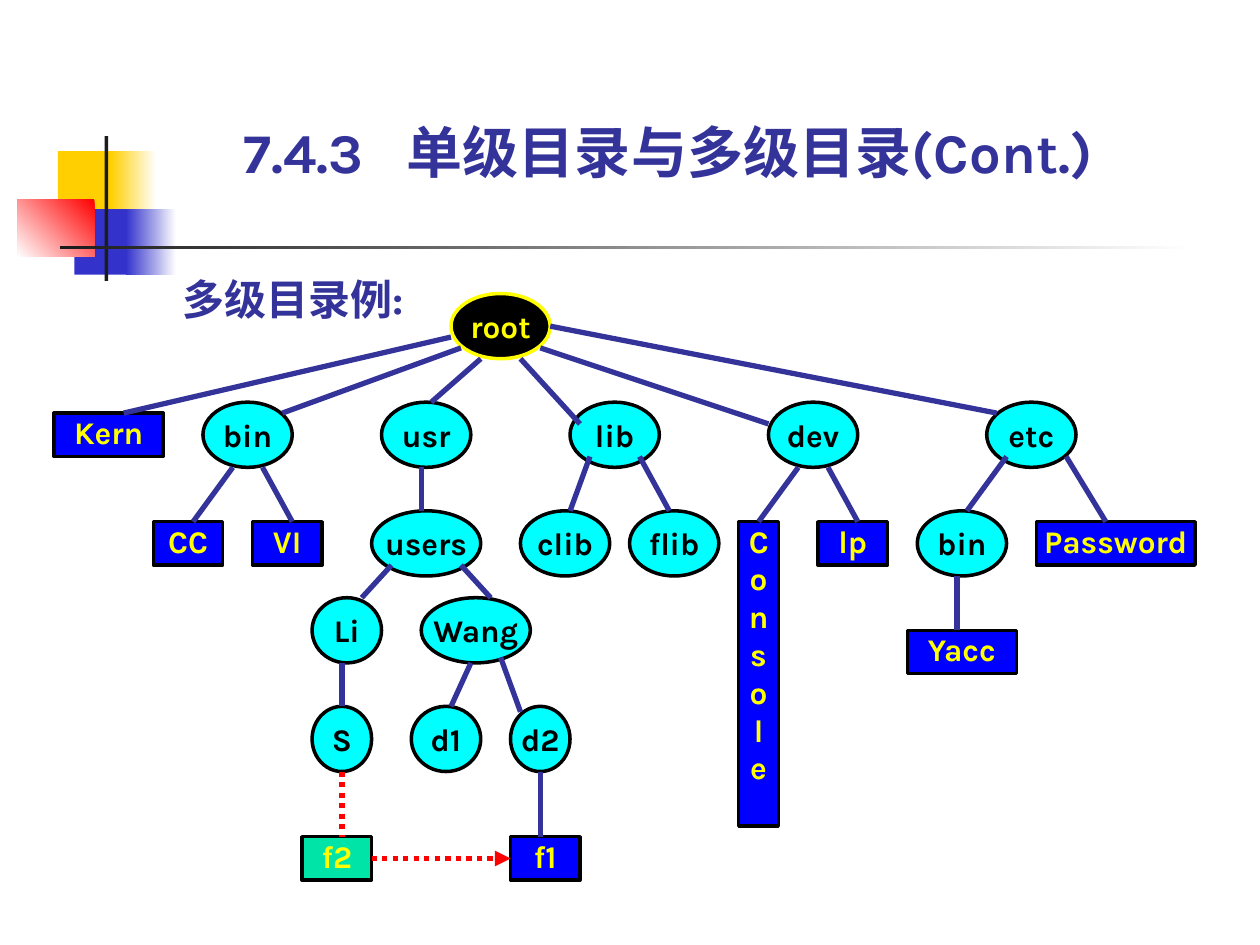
from typing import NamedTuple, Optional

from lxml import etree
from pptx import Presentation
from pptx import util as u
from pptx.dml.color import RGBColor
from pptx.enum import dml, shapes, text
from pptx.oxml import ns

FONT = "Karla"
INDIGO, RED, YELLOW, BLACK = "333399", "FF0000", "FFFF00", "000000"
CYAN, BLUE, GREEN = "00FFFF", "0000FF", "00E4A8"
GOLD, ROYAL, WHITE, CHARCOAL = "FFCF01", "3333CC", "FFFFFF", "1C1C1C"
WIDTH, HEIGHT = u.Inches(10), u.Inches(7.5)
LEFT, TOP = u.Inches(0.43), u.Inches(2.33)
COLUMN, ROW = u.Mm(2), u.Mm(2.19)
OVAL, BOX = shapes.MSO_SHAPE.OVAL, shapes.MSO_SHAPE.RECTANGLE
BOTTOM, MIDDLE, UPPER = text.MSO_ANCHOR.BOTTOM, text.MSO_ANCHOR.MIDDLE, text.MSO_ANCHOR.TOP


class Area(NamedTuple):
    left: int
    top: int
    width: int
    height: int


class Folder(NamedTuple):
    name: str
    column: float
    row: float
    columns: float = 9
    fill: str = CYAN
    line: str = BLACK
    color: str = BLACK


class File(NamedTuple):
    name: str
    column: float
    row: float
    columns: float = 7
    rows: float = 4
    fill: str = BLUE
    side: float = 0


class Link(NamedTuple):
    column: float
    row: float
    end_column: float
    end_row: float
    color: str = INDIGO
    dotted: bool = False
    arrow: bool = False
    begin: Optional[tuple] = None
    end: Optional[tuple] = None


class Block(NamedTuple):
    left: float
    top: float
    width: float
    height: float
    colors: tuple
    angle: int = 180


BLOCKS = [
    Block(4.6, 16, 4.8, 6.93, (GOLD,)),
    Block(8.8, 16, 3.6, 6.93, (WHITE, GOLD)),
    Block(5.9, 22.13, 4.6, 6.93, (ROYAL,)),
    Block(10, 22.13, 4, 6.93, (WHITE, ROYAL)),
    Block(1.4, 21.07, 6.1, 6.13, (RED, WHITE), 225),
    Block(8.3, 14.4, 0.3, 15.33, (CHARCOAL,)),
    Block(4.8, 26, 90, 0.4, (WHITE, CHARCOAL)),
]
FOLDERS = [
    Folder("root", 40, 0, 10, BLACK, YELLOW, YELLOW),
    *(Folder(name, column, 10) for name, column in
      [("bin", 15), ("usr", 33), ("lib", 52), ("dev", 72), ("etc", 94)]),
    Folder("users", 32, 20, 11), Folder("clib", 47, 20), Folder("flib", 58, 20),
    Folder("bin", 87, 20),
    Folder("Li", 26, 28, 7), Folder("Wang", 37, 28, 11),
    Folder("S", 26, 38, 6), Folder("d1", 36, 38, 7), Folder("d2", 46, 38, 6),
]
FILES = [
    File("Kern", 0, 11, 11), File("CC", 10, 21), File("VI", 20, 21),
    File("Console", 69, 21, 4, 28, side=0.08), File("lp", 77, 21),
    File("Password", 99, 21, 16), File("Yacc", 86, 31, 11),
    File("f2", 25, 50, fill=GREEN), File("f1", 46, 50),
]
LINKS = [
    Link(40, 4, 7, 11), Link(41, 5, 23, 11), Link(43, 6, 38, 10),
    Link(47, 6, 53, 12), Link(49, 5, 72, 12), Link(50, 3, 95, 11),
    Link(18, 16, 14, 21), Link(21, 16, 24, 21), Link(37, 16, 37, 20),
    Link(54, 15, 52, 20), Link(59, 15, 62, 20),
    Link(75, 16, 71, 21, end=("Console", 0)), Link(78, 16, 81, 21),
    Link(96, 15, 92, 20), Link(102, 15, 106, 21), Link(91, 26, 91, 31),
    Link(34, 25, 31, 28), Link(41, 25, 44, 28), Link(29, 34, 29, 38),
    Link(42, 34, 40, 38), Link(45, 33.5, 47, 38.5), Link(49, 44, 49, 50),
    Link(29, 44, 29, 50, RED, True),
    Link(32, 52, 46, 52, RED, True, True, ("f2", 3), ("f1", 1)),
]


def rgb(value: str) -> RGBColor:
    return RGBColor.from_string(value)


def point(column: float, row: float) -> tuple:
    return LEFT + round(column * COLUMN), TOP + round(row * ROW)


def cells(column: float, row: float, columns: float, rows: float) -> Area:
    return Area(*point(column, row), round(columns * COLUMN), round(rows * ROW))


def percent(left: float, top: float, width: float, height: float) -> Area:
    return Area(*(round(share * size / 100) for share, size in
                  zip((left, top, width, height), (WIDTH, HEIGHT) * 2)))


def write(box, words: str, *, size: int = 18, color: str = INDIGO, centered: bool = False,
          anchor=UPPER, side: float = 0, edge: float = 0, wrap: bool = True,
          grow: bool = False, spacing: Optional[float] = None,
          tab: Optional[float] = None) -> None:
    frame = box.text_frame
    frame.word_wrap = wrap
    frame.auto_size = (text.MSO_AUTO_SIZE.SHAPE_TO_FIT_TEXT if grow
                       else text.MSO_AUTO_SIZE.NONE)
    frame.vertical_anchor = anchor
    frame.margin_left = frame.margin_right = u.Inches(side)
    frame.margin_top = frame.margin_bottom = u.Inches(edge)
    para = frame.paragraphs[0]
    para.alignment = text.PP_ALIGN.CENTER if centered else text.PP_ALIGN.LEFT
    if tab:
        stops = etree.SubElement(para._p.get_or_add_pPr(), ns.qn("a:tabLst"))
        etree.SubElement(stops, ns.qn("a:tab"), pos=str(u.Inches(tab)), algn="l")
    if spacing:
        para.line_spacing = spacing
    span = para.add_run()
    span.text = words
    span.font.size = u.Pt(size)
    span.font.bold = True
    span.font.color.rgb = rgb(color)
    span.font.name = FONT
    etree.SubElement(span._r.get_or_add_rPr(), ns.qn("a:ea"), typeface=FONT)


def draw_shape(page, kind, area: Area, colors: tuple, line: Optional[str] = None,
               angle: int = 180):
    shape = page.shapes.add_shape(kind, *area)
    shape.shadow.inherit = False
    if len(colors) == 1:
        shape.fill.solid()
        shape.fill.fore_color.rgb = rgb(colors[0])
    else:
        shape.fill.gradient()
        shape.fill.gradient_angle = angle
        for stop, color, position in zip(shape.fill.gradient_stops, colors, (0, 1)):
            stop.color.rgb = rgb(color)
            stop.position = position
    if line:
        shape.line.color.rgb = rgb(line)
        shape.line.width = u.Pt(2)
    else:
        shape.line.fill.background()
    return shape


def draw_folder(page, folder: Folder) -> None:
    shape = draw_shape(page, OVAL, cells(folder.column, folder.row, folder.columns, 6),
                       (folder.fill,), folder.line)
    write(shape, folder.name, color=folder.color, centered=True, anchor=MIDDLE,
          side=0.1, edge=0.05, wrap=False)


def draw_file(page, file: File):
    shape = draw_shape(page, BOX, cells(file.column, file.row, file.columns, file.rows),
                       (file.fill,), BLACK)
    write(shape, file.name, color=YELLOW, centered=True, side=file.side)
    return shape


def draw_link(page, link: Link, files: dict) -> None:
    connector = page.shapes.add_connector(
        shapes.MSO_CONNECTOR.STRAIGHT, *point(link.column, link.row),
        *point(link.end_column, link.end_row))
    if link.begin:
        connector.begin_connect(files[link.begin[0]], link.begin[1])
    if link.end:
        connector.end_connect(files[link.end[0]], link.end[1])
    connector.line.color.rgb = rgb(link.color)
    connector.line.width = u.Pt(3)
    if link.dotted:
        connector.line.dash_style = dml.MSO_LINE.ROUND_DOT
    if link.arrow:
        etree.SubElement(connector.line._get_or_add_ln(), ns.qn("a:tailEnd"), type="triangle")
    etree.SubElement(connector._element.spPr, ns.qn("a:effectLst"))


def main() -> None:
    deck = Presentation()
    deck.slide_width, deck.slide_height = WIDTH, HEIGHT
    page = deck.slides.add_slide(deck.slide_layouts[5])
    title = page.shapes.title
    title.left, title.top, title.width, title.height = percent(19.3, 13.2, 73.2, 6.4)
    write(title, "7.4.3\t单级目录与多级目录(Cont.)", size=32, anchor=BOTTOM, grow=True,
          spacing=0.9, tab=1.3)
    for block in BLOCKS:
        draw_shape(page, BOX, percent(*block[:4]), block.colors, angle=block.angle)
    label = page.shapes.add_textbox(*percent(14.5, 28.93, 21.3, 5.33))
    write(label, "多级目录例:", size=24, grow=True)
    for folder in FOLDERS:
        draw_folder(page, folder)
    files = {file.name: draw_file(page, file) for file in FILES}
    for link in LINKS:
        draw_link(page, link, files)
    deck.save("out.pptx")


if __name__ == "__main__":
    main()
